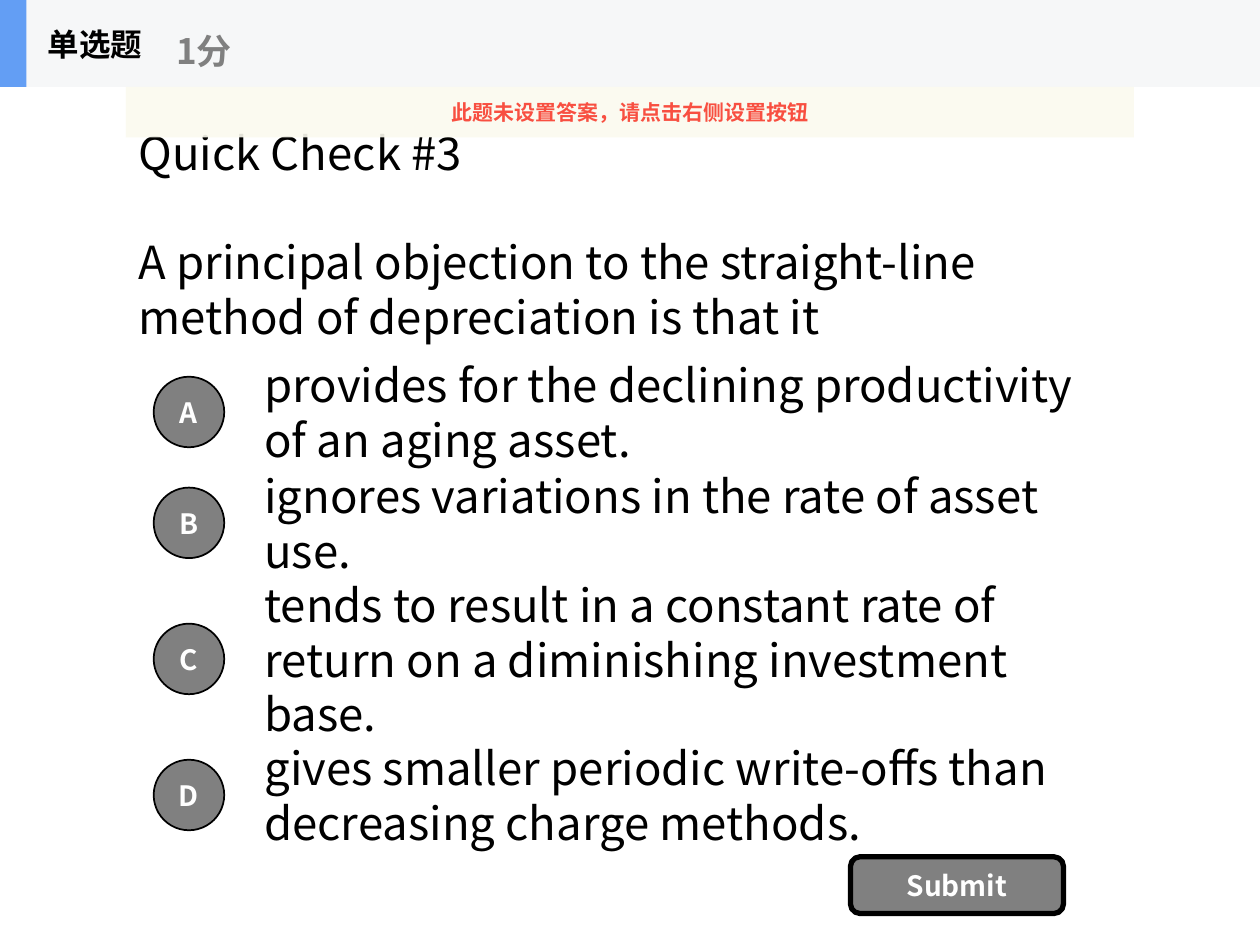
from pptx import Presentation
from pptx.dml.color import RGBColor
from pptx.enum.shapes import MSO_SHAPE
from pptx.enum.text import MSO_ANCHOR, MSO_AUTO_SIZE, PP_ALIGN
from pptx.oxml.ns import qn
from pptx.util import Inches, Pt
from lxml import etree

RECTANGLE, OVAL, ROUNDED = MSO_SHAPE.RECTANGLE, MSO_SHAPE.OVAL, MSO_SHAPE.ROUNDED_RECTANGLE
MIDDLE, NO_FIT = MSO_ANCHOR.MIDDLE, MSO_AUTO_SIZE.NONE
LEFT, CENTER = PP_ALIGN.LEFT, PP_ALIGN.CENTER

FONT = "Noto Sans CJK SC"
COLORS = {
    "black": "000000", "white": "FFFFFF", "gray": "808080", "header": "F6F7F8",
    "accent": "639EF4", "banner": "FBFAEF", "warning": "F84F41",
}
QUESTION = [
    "Quick Check #3",
    "A principal objection to the straight-line method of depreciation is that it",
]
OPTIONS = [
    ("A", 2.92, "provides for the declining productivity of an aging asset."),
    ("B", 3.80, "ignores variations in the rate of asset use."),
    ("C", 4.88, "tends to result in a constant rate of return on a diminishing investment base."),
    ("D", 5.96, "gives smaller periodic write-offs than decreasing charge methods."),
]
HEADER_LABELS = [
    ("单选题", (0.28, 0, 2.08, 0.69), 18, "black"),
    ("1分", (1.3, 0.12, 2.5, 0.56), 20, "gray"),
]
HEADER_BARS = [((0, 0, 10, 0.69), "header"), ((0, 0, 0.21, 0.69), "accent")]
BANNER = "此题未设置答案，请点击右侧设置按钮"
OPTION_HEIGHT, BADGE_SIZE = 0.7, 0.56
BODY_SIZE, BODY_LEADING = 26, 31.2


def color(name):
    return RGBColor.from_string(COLORS[name])


def write(shape, lines, size, color_name, bold=False, alignment=LEFT, leading=None):
    frame = shape.text_frame
    frame.text = "\n".join(lines)
    for name, value in {"word_wrap": True, "auto_size": NO_FIT, "vertical_anchor": MIDDLE}.items():
        setattr(frame, name, value)
    for paragraph in frame.paragraphs:
        paragraph.alignment = alignment
        if leading:
            paragraph.line_spacing = Pt(leading)
        for name, value in {"name": FONT, "size": Pt(size), "bold": bold}.items():
            setattr(paragraph.font, name, value)
        paragraph.font.color.rgb = color(color_name)
        for run in paragraph.runs:
            properties = run.font
            properties.name = FONT
            east_asian = etree.SubElement(run._r.get_or_add_rPr(), qn("a:ea"))
            east_asian.set("typeface", FONT)


def add_text(shapes, box, *args, **kwargs):
    write(shapes.add_textbox(*map(Inches, box)), *args, **kwargs)


def add_panel(shapes, kind, box, fill, line_width=0):
    shape = shapes.add_shape(kind, *map(Inches, box))
    shape.shadow.inherit = False
    shape.fill.solid()
    shape.fill.fore_color.rgb = color(fill)
    if line_width:
        shape.line.color.rgb = color("black")
        shape.line.width = Pt(line_width)
    else:
        shape.line.fill.background()
    return shape


def add_button(shapes, kind, box, label, line_width):
    button = add_panel(shapes, kind, box, "gray", line_width)
    frame = button.text_frame
    frame.margin_left = frame.margin_right = 0
    write(button, [label], 16, "white", True, CENTER)


def main():
    presentation = Presentation()
    presentation.slide_width, presentation.slide_height = Inches(10), Inches(7.5)
    slide = presentation.slides.add_slide(presentation.slide_layouts[5])
    shapes = slide.shapes

    title = shapes.title
    title.left, title.top, title.width, title.height = map(Inches, (1, 0.69, 8, 2.34))
    write(title, QUESTION, BODY_SIZE, "black", leading=BODY_LEADING)
    title.text_frame.paragraphs[1].space_before = Pt(BODY_LEADING)

    for letter, top, answer in OPTIONS:
        add_text(shapes, (2, top, 7, OPTION_HEIGHT), [answer], BODY_SIZE, "black",
                 leading=BODY_LEADING)
        badge_top = top + (OPTION_HEIGHT - BADGE_SIZE) / 2
        add_button(shapes, OVAL, (1.22, badge_top, BADGE_SIZE, BADGE_SIZE), letter, 1)

    add_button(shapes, ROUNDED, (6.75, 6.8, 1.69, 0.45), "Submit", 3)

    header = shapes.add_group_shape().shapes
    for box, fill in HEADER_BARS:
        add_panel(header, RECTANGLE, box, fill)
    for label, box, size, color_name in HEADER_LABELS:
        add_text(header, box, [label], size, color_name, bold=True)

    banner = add_panel(shapes, RECTANGLE, (1, 0.69, 8, 0.4), "banner")
    fill_color = banner._element.spPr.find(qn("a:solidFill"))[0]
    etree.SubElement(fill_color, qn("a:alpha")).set("val", "90000")
    write(banner, [BANNER], 12, "warning", True, CENTER)

    presentation.save("out.pptx")


if __name__ == "__main__":
    main()
